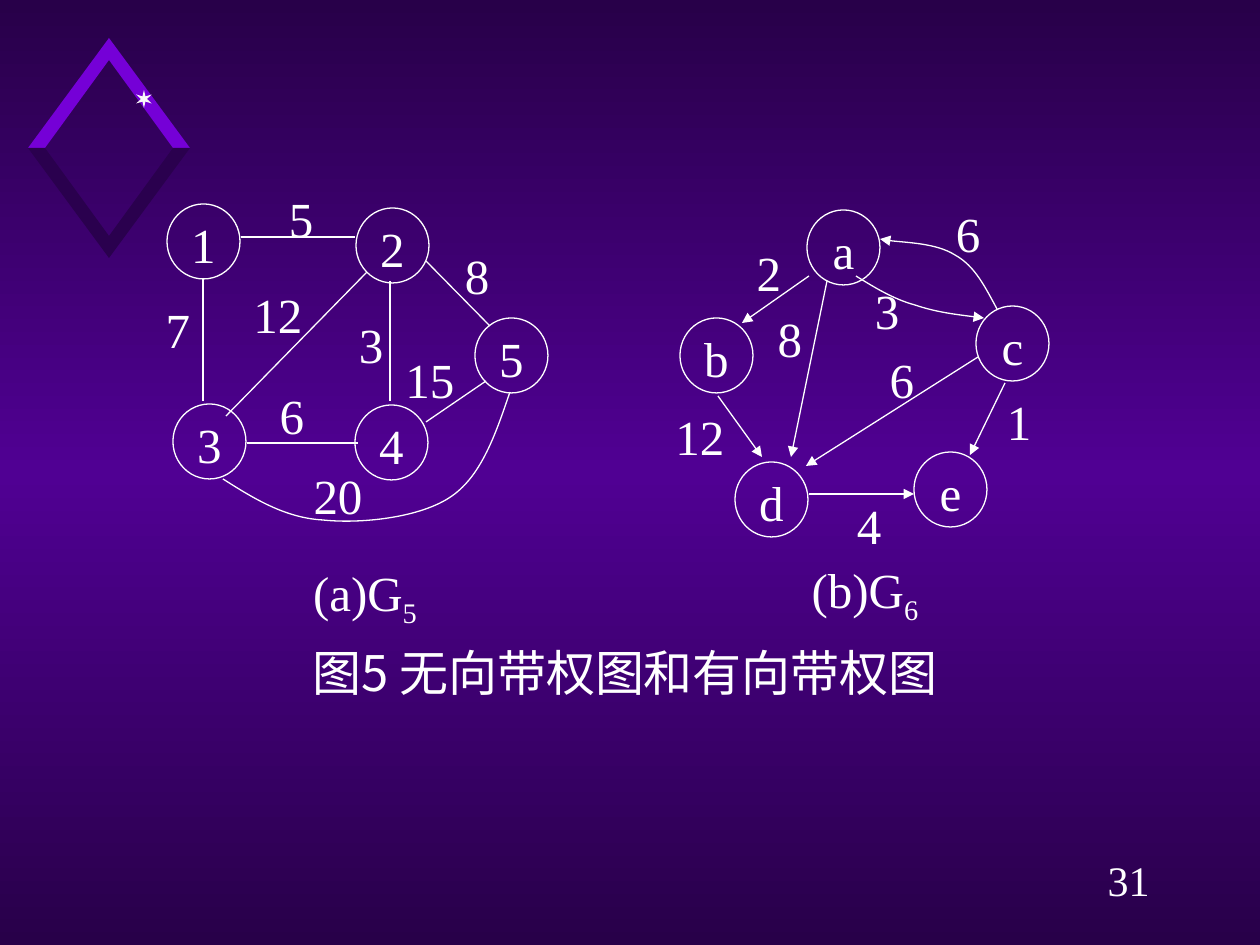
import copy
import math

import pptx
import pptx.dml.color
import pptx.enum.shapes
import pptx.enum.text
import pptx.oxml
import pptx.oxml.ns
import pptx.util

RGBColor = pptx.dml.color.RGBColor
WHITE = RGBColor(0xFF, 0xFF, 0xFF)
STAR = RGBColor(0xF9, 0xF9, 0xF9)
BRIGHT = RGBColor(0x75, 0x00, 0xD7)
DARK = RGBColor(0x2A, 0x00, 0x4E)
BACKGROUND = [
    (0, RGBColor(0x28, 0x00, 0x49)),
    (0.5, RGBColor(0x50, 0x00, 0x93)),
    (1, RGBColor(0x28, 0x00, 0x49)),
]
SERIF, SANS = "Times New Roman", "Noto Sans CJK SC"
PX = 914400 / 126
NODE_SIZE, LABEL_SIZE, CAPTION_SIZE = (73, 75), (62, 63), (190, 72)

GRAPHS = [
    {
        "nodes": [("1", 167, 204), ("2", 356, 208), ("3", 173, 404),
                  ("5", 475, 318), ("4", 355, 405)],
        "weights": [("20", 307, 466), ("15", 399, 350), ("3", 340, 315),
                    ("6", 261, 386), ("12", 247, 285), ("5", 270, 189),
                    ("8", 446, 246), ("7", 147, 300)],
        "edges": [(241, 237, 355, 237), (247, 443, 358, 443),
                  (203, 278, 203, 401), (390, 281, 390, 401),
                  (367, 272, 226, 416), (426, 261, 490, 326),
                  (426, 422, 486, 381)],
        "curves": [[(223, 479), (253, 498), (285, 518), (323, 520),
                    (360, 524), (421, 518), (452, 496),
                    (482, 475), (496, 433), (510, 392)]],
        "caption": ("(a)G", "5", 270, 562),
        "directed": False,
    },
    {
        "nodes": [("b", 680, 318), ("a", 807, 210), ("d", 735, 462),
                  ("c", 976, 306), ("e", 914, 452)],
        "weights": [("1", 988, 392), ("4", 838, 496), ("6", 871, 350),
                    ("3", 856, 281), ("8", 759, 309), ("2", 738, 243),
                    ("6", 937, 204), ("12", 669, 407)],
        "edges": [(809, 276, 742, 323), (718, 396, 762, 457),
                  (1005, 383, 970, 455), (978, 357, 806, 466),
                  (827, 281, 791, 457), (809, 494, 914, 494)],
        "curves": [[(997, 309), (985, 287), (975, 266), (955, 255),
                    (936, 243), (891, 242), (880, 239)],
                   [(856, 276), (874, 287), (893, 299), (915, 305),
                    (936, 312), (960, 315), (984, 318)]],
        "caption": ("(b)G", "6", 770, 559),
        "directed": True,
    },
]
TITLE = ("图5 无向带权图和有向带权图", (197, 643, 856, 74))
PAGE = ("31", (1081, 848, 95, 63))
DIAMOND_CENTER = (109, 148)
DIAMOND_ARM = [(0, -110), (0, -88), (64, 0), (81, 0)]
STAR_CENTER = (144, 99)


def emu(*lengths):
    return [round(n * PX) for n in lengths]


def write(s, text, size=28, font=SERIF, sub=""):
    tf = s.text_frame
    margins = ("margin_left", "margin_top", "margin_right", "margin_bottom")
    for name, value in {**dict.fromkeys(margins, 0), "word_wrap": True,
                        "vertical_anchor": pptx.enum.text.MSO_ANCHOR.TOP}.items():
        setattr(tf, name, value)
    p = tf.paragraphs[0]
    p.alignment = pptx.enum.text.PP_ALIGN.CENTER
    for part in filter(None, (text, sub)):
        r = p.add_run()
        r.text = part
        for name, value in {"size": pptx.util.Pt(size), "name": font}.items():
            setattr(r.font, name, value)
        r.font.color.rgb = WHITE
        rpr = r.font._element
        ea = pptx.oxml.parse_xml(
            f'<a:ea {pptx.oxml.ns.nsdecls("a")} typeface="{font}"/>')
        rpr.find(pptx.oxml.ns.qn("a:latin")).addnext(ea)
    if sub:
        rpr.set("baseline", "-25000")


def add_text(box, text, **formats):
    s = slide.shapes.add_textbox(*emu(*box))
    write(s, text, **formats)
    return s


def stroke(s, arrow=False):
    s.line.color.rgb = WHITE
    s.line.width = pptx.util.Pt(0.75)
    if arrow:
        s.line._get_or_add_ln().append(pptx.oxml.parse_xml(
            f'<a:tailEnd {pptx.oxml.ns.nsdecls("a")} type="triangle"/>'))


def add_outline(points, close=True):
    points = [emu(*point) for point in points]
    builder = slide.shapes.build_freeform(*points[0], scale=1.0)
    builder.add_line_segments(points[1:], close=close)
    s = builder.convert_to_shape()
    s.shadow.inherit = False
    return s


def add_polygon(points, color):
    s = add_outline(points)
    s.fill.solid()
    s.fill.fore_color.rgb = color
    s.line.fill.background()


def add_curve(points, arrow):
    s = add_outline(points, close=False)
    s.fill.background()
    steps = list(s._element.iter(pptx.oxml.ns.qn("a:lnTo")))
    for i in range(0, len(steps), 3):
        bezier = pptx.oxml.parse_xml(
            f'<a:cubicBezTo {pptx.oxml.ns.nsdecls("a")}/>')
        steps[i].addprevious(bezier)
        for step in steps[i:i + 3]:
            bezier.append(step[0])
            step.getparent().remove(step)
    stroke(s, arrow)


def add_edge(ends, arrow):
    s = slide.shapes.add_connector(
        pptx.enum.shapes.MSO_CONNECTOR.STRAIGHT, *emu(*ends))
    stroke(s, arrow)
    s._element.spPr.append(pptx.oxml.parse_xml(
        f'<a:effectLst {pptx.oxml.ns.nsdecls("a")}/>'))


def add_node(text, x, y):
    s = slide.shapes.add_shape(
        pptx.enum.shapes.MSO_SHAPE.OVAL, *emu(x, y, *NODE_SIZE))
    s.shadow.inherit = False
    s.fill.background()
    stroke(s)
    write(s, text)


prs = pptx.Presentation()
prs.slide_width, prs.slide_height = emu(1260, 945)
slide = prs.slides.add_slide(prs.slide_layouts[6])

fill = slide.background.fill
fill.gradient()
fill.gradient_angle = 90
last = fill.gradient_stops[-1]._gs
last.addnext(copy.deepcopy(last))
for stop, (position, color) in zip(fill.gradient_stops, BACKGROUND):
    stop.position = position
    stop.color.rgb = color

cx, cy = DIAMOND_CENTER
for sy, color in ((1, BRIGHT), (-1, DARK)):
    for sx in (1, -1):
        add_polygon([(cx + sx * x, cy + sy * y) for x, y in DIAMOND_ARM], color)

cx, cy = STAR_CENTER
star = []
for k in range(12):
    radius, angle = (3 if k % 2 else 9), math.radians(30 * k)
    star.append((cx + radius * math.sin(angle), cy - radius * math.cos(angle)))
add_polygon(star, STAR)

for graph in GRAPHS:
    for text, x, y in graph["weights"]:
        add_text((x, y, *LABEL_SIZE), text)
    for node in graph["nodes"]:
        add_node(*node)
    for edge in graph["edges"]:
        add_edge(edge, graph["directed"])
    for curve in graph["curves"]:
        add_curve(curve, graph["directed"])
    text, sub, x, y = graph["caption"]
    add_text((x, y, *CAPTION_SIZE), text, sub=sub)

add_text(TITLE[1], TITLE[0], font=SANS)
page = add_text(PAGE[1], PAGE[0], size=24)
page.text_frame.margin_top = pptx.util.Inches(0.05)

prs.save("out.pptx")
